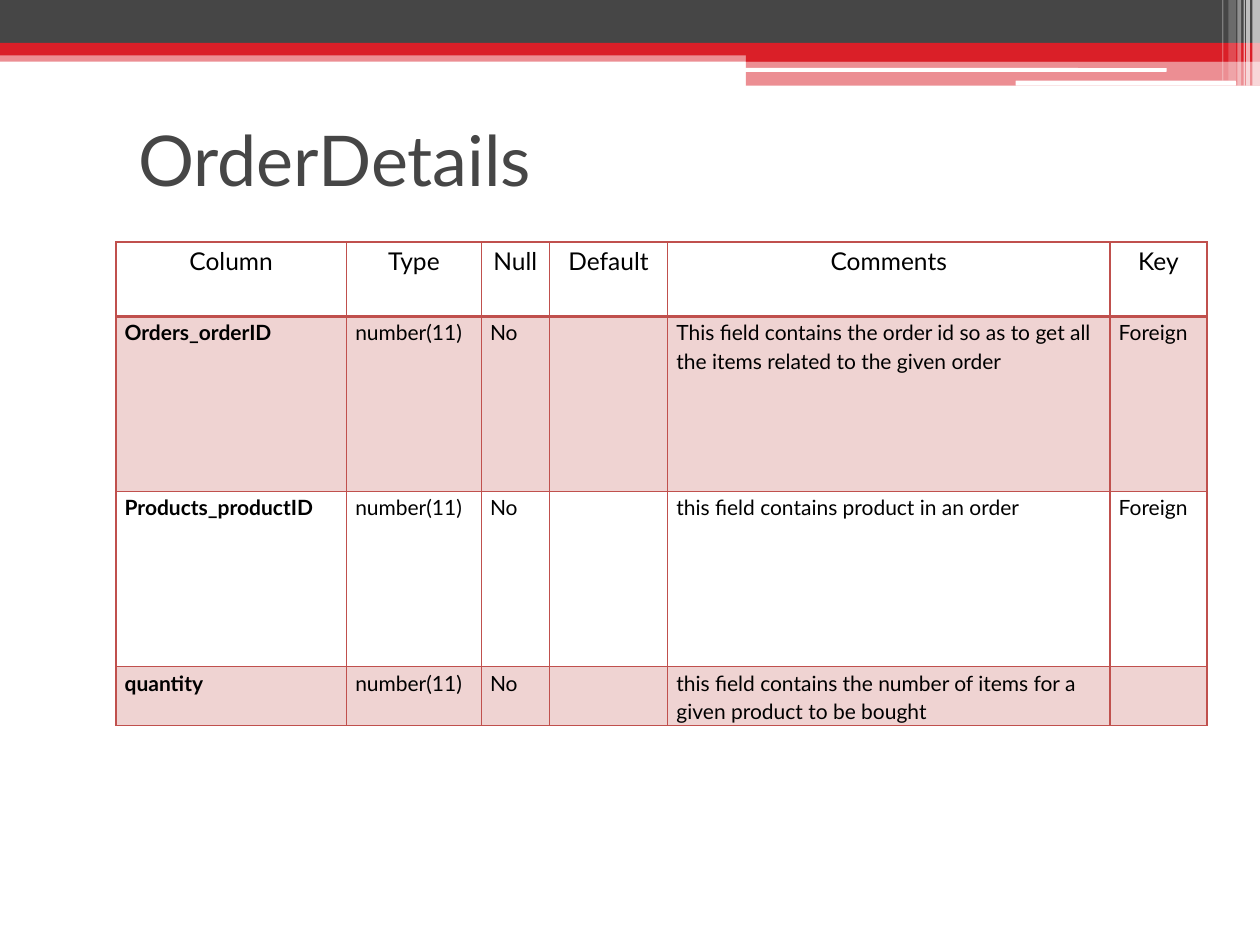
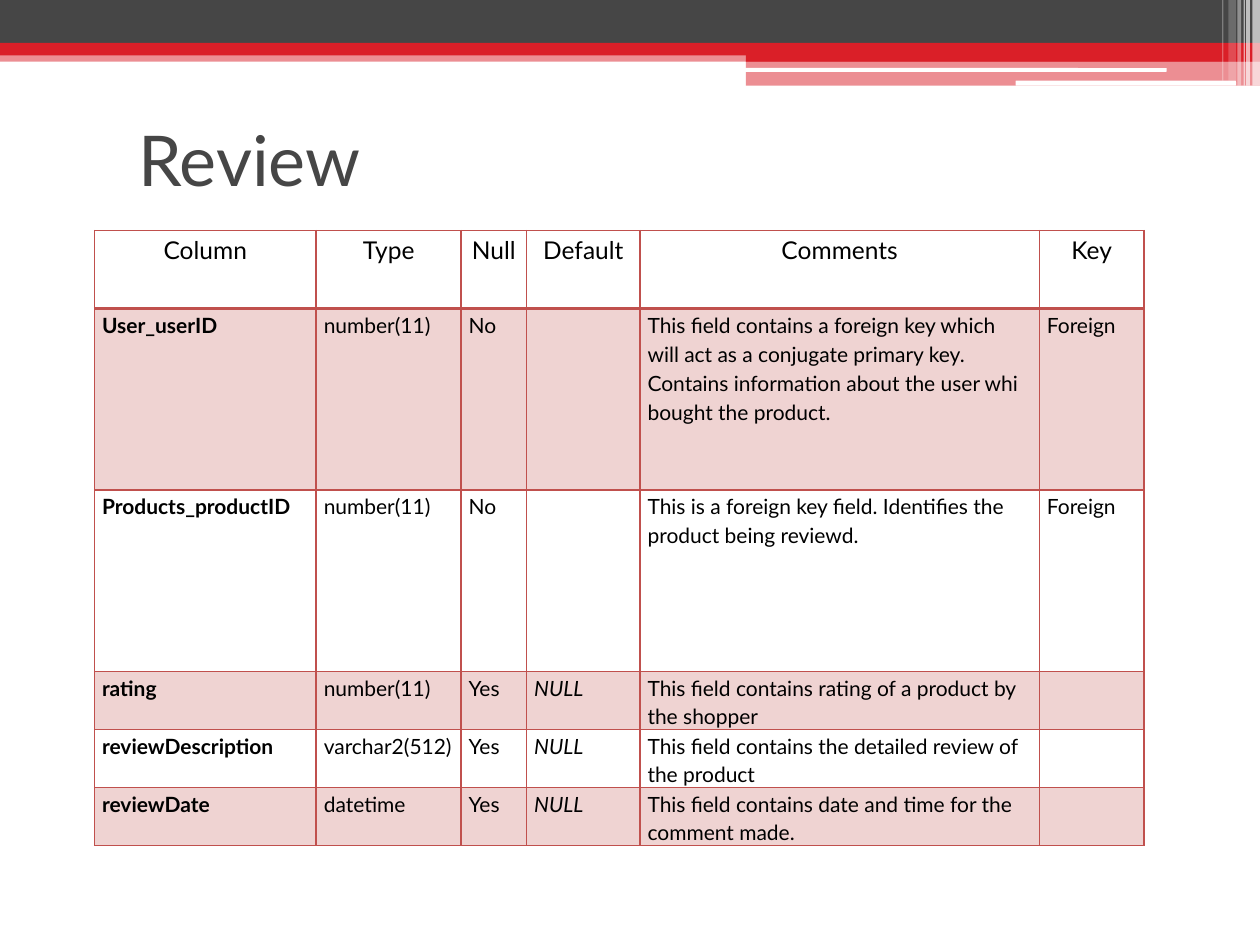
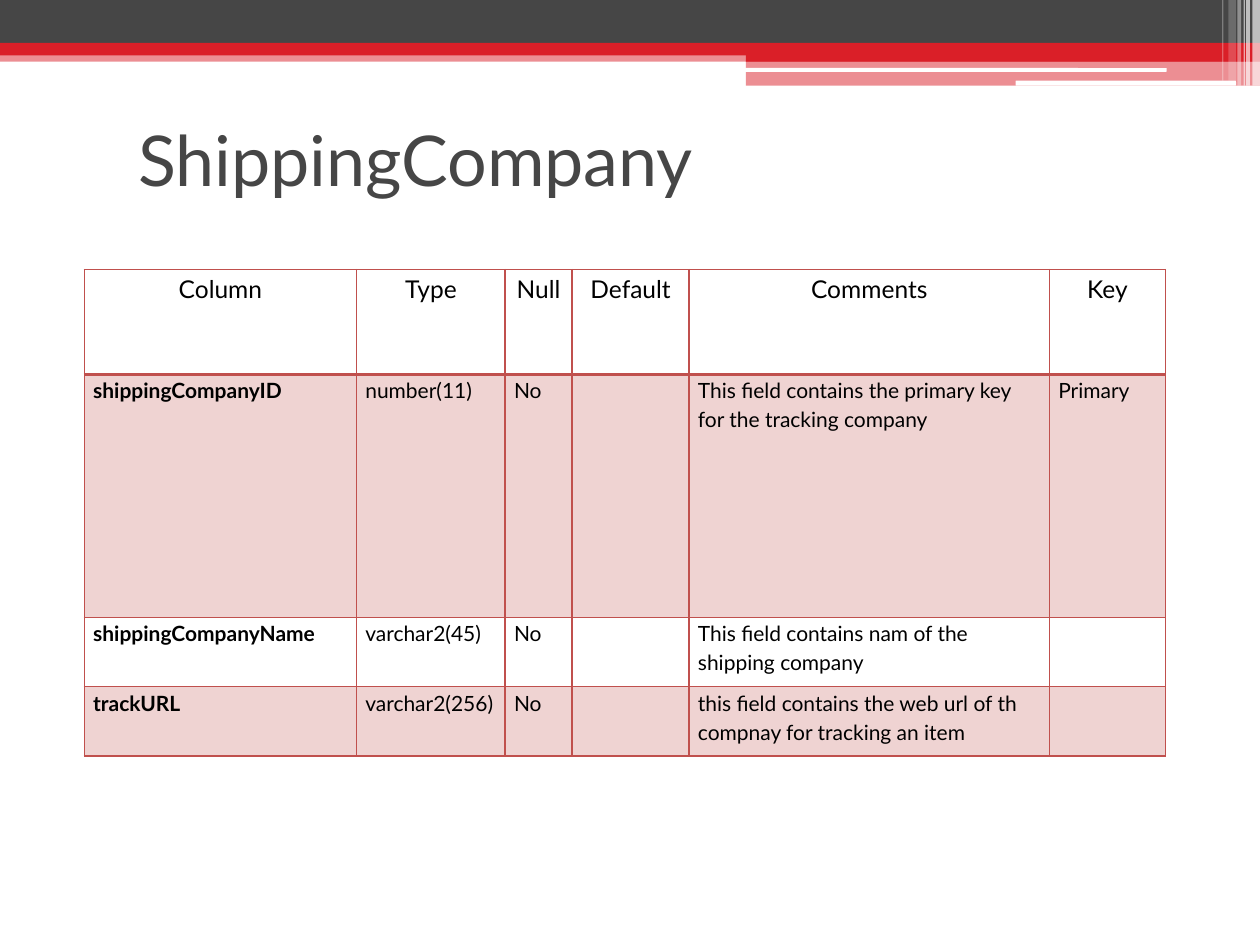
from lxml import etree
from pptx import Presentation
from pptx.dml.color import RGBColor
from pptx.enum.shapes import MSO_SHAPE
from pptx.enum.text import MSO_ANCHOR, PP_ALIGN
from pptx.oxml.ns import qn
from pptx.util import Inches, Pt

RECTANGLE, ROUNDED = MSO_SHAPE.RECTANGLE, MSO_SHAPE.ROUNDED_RECTANGLE
MIDDLE = MSO_ANCHOR.MIDDLE
LEFT, CENTER = PP_ALIGN.LEFT, PP_ALIGN.CENTER

FONT = "Lato"
RED, GRAY, WHITE, BLACK = "DA1F28", "464646", "FFFFFF", "000000"
BORDER, STRIPE = "C0504D", "EFD3D2"
THIN, THICK = 1, 2.25

BANDS = [
    (0, 0.4, 10, 0.09, RED, 50),
    (0, 0, 10, 0.34, GRAY, 100),
    (0, 0.34, 10, 0.1, RED, 100),
    (5.92, 0.39, 4.08, 0.1, RED, 100),
    (5.92, 0.48, 4.08, 0.2, RED, 50),
]
WHITE_BARS = [(5.91, 0.54, 3.35, 0.03), (8.06, 0.64, 1.75, 0.04)]
CORNER_STRIPES = [
    (9.94, 0.06, 0.68, 65),
    (9.89, 0.03, 0.68, 65),
    (9.87, 0.01, 0.68, 60),
    (9.82, 0.03, 0.68, 40),
    (9.75, 0.06, 0.64, 20),
    (9.7, 0.01, 0.64, 30),
]

HEADER = ["Column", "Type", "Null", "Default", "Comments", "Key"]
TABLES = [
    {
        "title": "OrderDetails",
        "left": 0.92,
        "top": 1.92,
        "inset": 0.07,
        "widths": [1.83, 1.07, 0.54, 0.94, 3.51, 0.77],
        "heights": [0.59, 1.39, 1.39, 0.47],
        "fields": [
            ["Orders_orderID", "number(11)", "No", "",
             "This field contains the order id so as to get all the items related to the given order",
             "Foreign"],
            ["Products_productID", "number(11)", "No", "",
             "this field contains product in an order", "Foreign"],
            ["quantity", "number(11)", "No", "",
             "this field contains the number of items for a given product to be bought", ""],
        ],
    },
    {
        "title": "Review",
        "left": 0.75,
        "top": 1.83,
        "inset": 0.06,
        "widths": [1.76, 1.15, 0.52, 0.9, 3.17, 0.83],
        "heights": [0.62, 1.44, 1.44, 0.41, 0.41, 0.41],
        "fields": [
            ["User_userID", "number(11)", "No", "",
             "This field contains a foreign key which will act as a conjugate primary key. "
             "Contains information about the user whi bought the product.", "Foreign"],
            ["Products_productID", "number(11)", "No", "",
             "This is a foreign key field. Identifies the product being reviewd.", "Foreign"],
            ["rating", "number(11)", "Yes", "NULL",
             "This field contains rating of a product by the shopper", ""],
            ["reviewDescription", "varchar2(512)", "Yes", "NULL",
             "This field contains the detailed review of the product", ""],
            ["reviewDate", "datetime", "Yes", "NULL",
             "This field contains date and time for the comment made.", ""],
        ],
    },
    {
        "title": "ShippingCompany",
        "left": 0.67,
        "top": 2.14,
        "inset": 0.07,
        "widths": [2.16, 1.18, 0.53, 0.93, 2.86, 0.92],
        "heights": [0.83, 1.93, 0.55, 0.55],
        "fields": [
            ["shippingCompanyID", "number(11)", "No", "",
             "This field contains the primary key for the tracking company", "Primary"],
            ["shippingCompanyName", "varchar2(45)", "No", "",
             "This field contains nam of the shipping company", ""],
            ["trackURL", "varchar2(256)", "No", "",
             "this field contains the web url of th compnay for tracking an item", ""],
        ],
    },
]


def color(value):
    """Turn a hex string into a colour."""
    return RGBColor.from_string(value)


def write(frame, text, size=12, ink=BLACK, bold=False, italic=False, align=LEFT, spacing=1.0):
    """Write one formatted paragraph into a text frame."""
    para = frame.paragraphs[0]
    para.alignment = align
    para.line_spacing = spacing
    span = para.add_run()
    span.text = text
    span.font.name = FONT
    span.font.size = Pt(size)
    span.font.bold = bold
    span.font.italic = italic
    span.font.color.rgb = color(ink)


def outline(cell, top, bottom):
    """Draw the four borders of a cell with the given top and bottom widths."""
    properties = cell._tc.get_or_add_tcPr()
    for side, width in (("L", THIN), ("R", THIN), ("T", top), ("B", bottom)):
        line = etree.SubElement(properties, qn(f"a:ln{side}"), w=str(Pt(width)))
        fill = etree.SubElement(line, qn("a:solidFill"))
        etree.SubElement(fill, qn("a:srgbClr"), val=BORDER)


class SchemaDeck:
    """Build slides that each describe one database table."""

    def __init__(self):
        """Start an empty deck."""
        self.deck = Presentation()
        self.deck.slide_width = Inches(10)
        self.deck.slide_height = Inches(7.5)
        self.page = None

    def add_page(self, title):
        """Add a slide with the bands and its title."""
        self.page = self.deck.slides.add_slide(self.deck.slide_layouts[6])
        for left, top, width, height, fill, opacity in BANDS:
            self.add_band(left, top, width, height, fill, opacity)
        for bar in WHITE_BARS:
            self.add_band(*bar, WHITE, kind=ROUNDED)
        for left, width, height, opacity in CORNER_STRIPES:
            self.add_band(left, 0, width, height, WHITE, opacity)
        self.add_title(title)

    def add_band(self, left, top, width, height, fill, opacity=100, kind=RECTANGLE):
        """Add a filled shape without a line."""
        band = self.page.shapes.add_shape(
            kind, Inches(left), Inches(top), Inches(width), Inches(height))
        band.shadow.inherit = False
        band.line.fill.background()
        band.fill.solid()
        band.fill.fore_color.rgb = color(fill)
        if opacity < 100:
            tint = band._element.spPr.find(".//" + qn("a:srgbClr"))
            etree.SubElement(tint, qn("a:alpha"), val=str(opacity * 1000))

    def add_title(self, text):
        """Add the slide title."""
        box = self.page.shapes.add_textbox(Inches(1), Inches(0.67), Inches(9), Inches(1.17))
        box.text_frame.word_wrap = True
        box.text_frame.vertical_anchor = MIDDLE
        write(box.text_frame, text, size=40, ink=GRAY)

    def add_field_table(self, left, top, inset, widths, heights, fields):
        """Add the table that lists the fields."""
        rows = [HEADER] + fields
        table = self.page.shapes.add_table(
            len(rows), len(HEADER), Inches(left), Inches(top),
            Inches(sum(widths)), Inches(sum(heights))).table
        table.first_row = False
        table.horz_banding = False
        for column, width in zip(table.columns, widths):
            column.width = Inches(width)
        for index, (texts, height) in enumerate(zip(rows, heights)):
            table.rows[index].height = Inches(height)
            for place, text in enumerate(texts):
                self.fill_cell(table.cell(index, place), text, index, place, inset)

    def fill_cell(self, cell, text, row, place, inset):
        """Format one cell by its row and column."""
        header = row == 0
        cell.margin_left = cell.margin_right = Inches(inset)
        cell.margin_top = cell.margin_bottom = 0
        outline(cell, THICK if row == 1 else THIN, THICK if header else THIN)
        if row % 2:
            cell.fill.solid()
            cell.fill.fore_color.rgb = color(STRIPE)
        else:
            cell.fill.background()
        if text:
            write(cell.text_frame, text, size=14 if header else 12,
                  bold=place == 0 and not header, italic=text == "NULL",
                  align=CENTER if header else LEFT, spacing=1.15)


def main():
    """Build and save the deck."""
    schema = SchemaDeck()
    for layout in TABLES:
        schema.add_page(layout["title"])
        schema.add_field_table(
            **{name: value for name, value in layout.items() if name != "title"})
    schema.deck.save("out.pptx")


if __name__ == "__main__":
    main()
